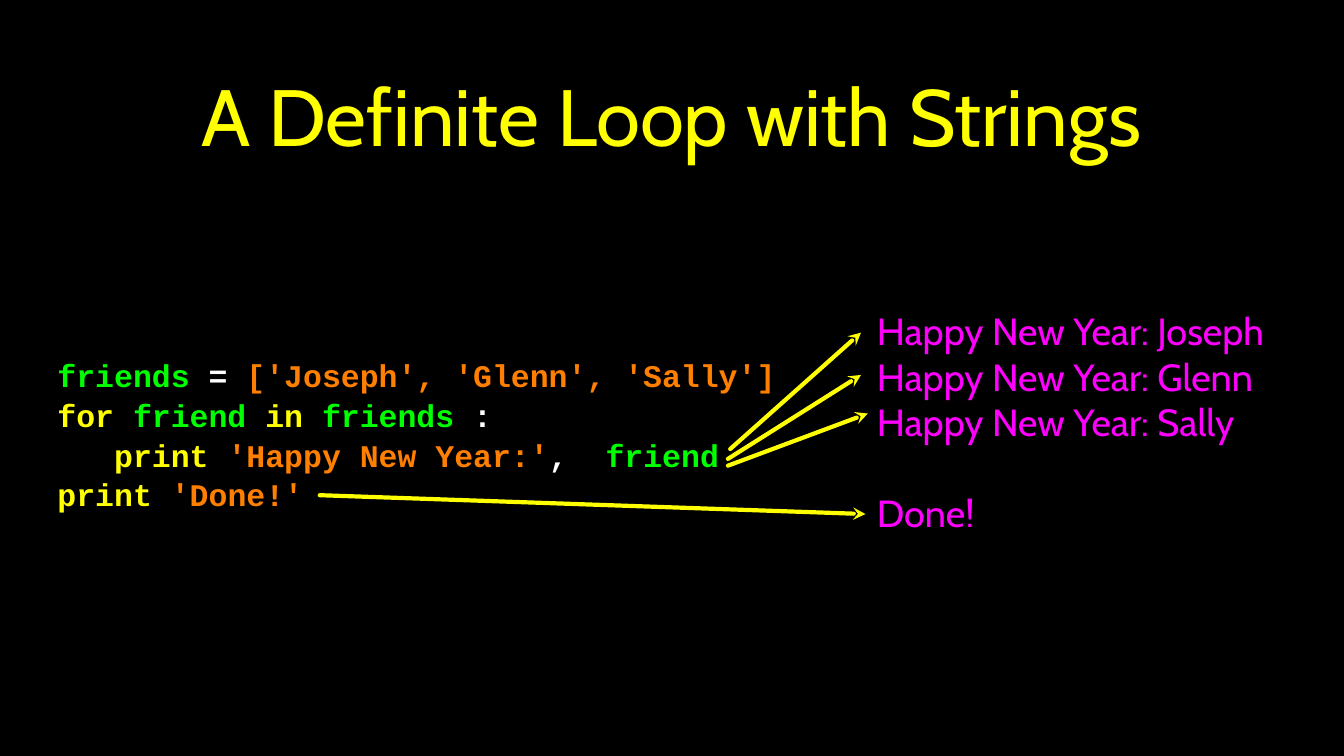
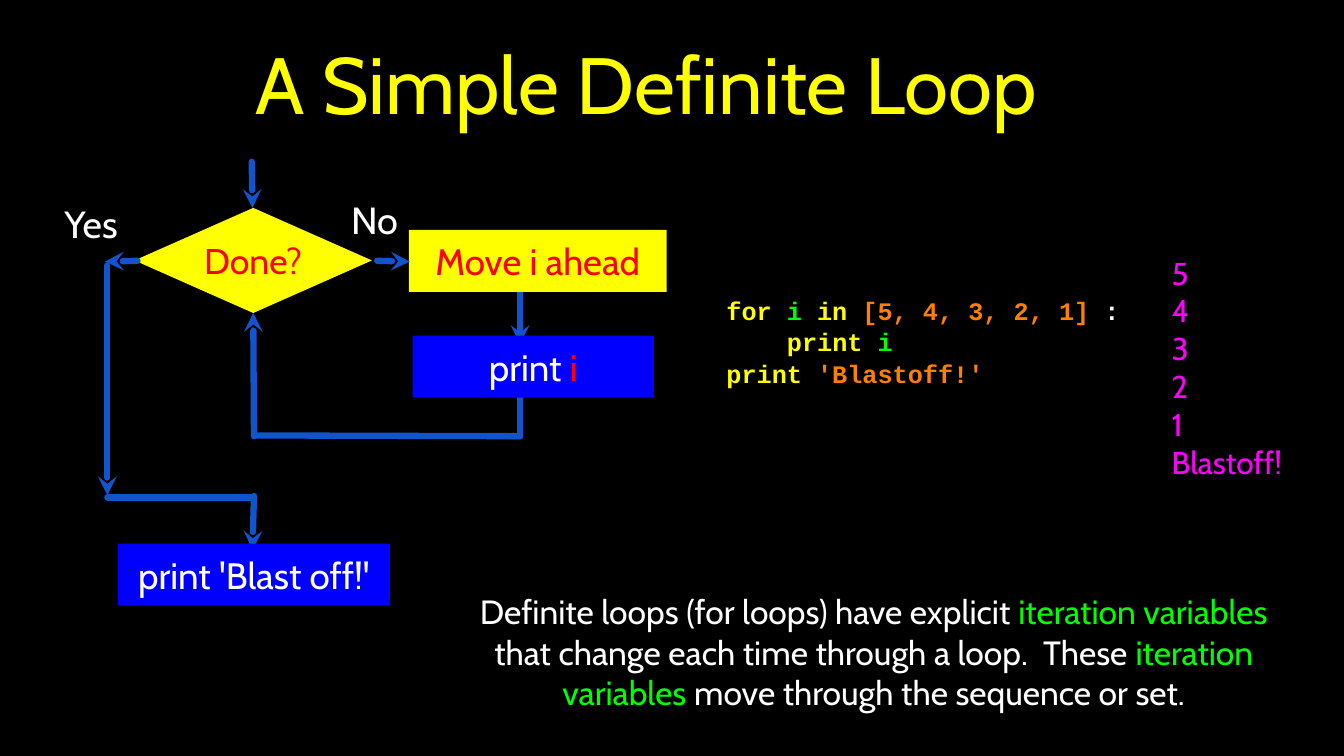
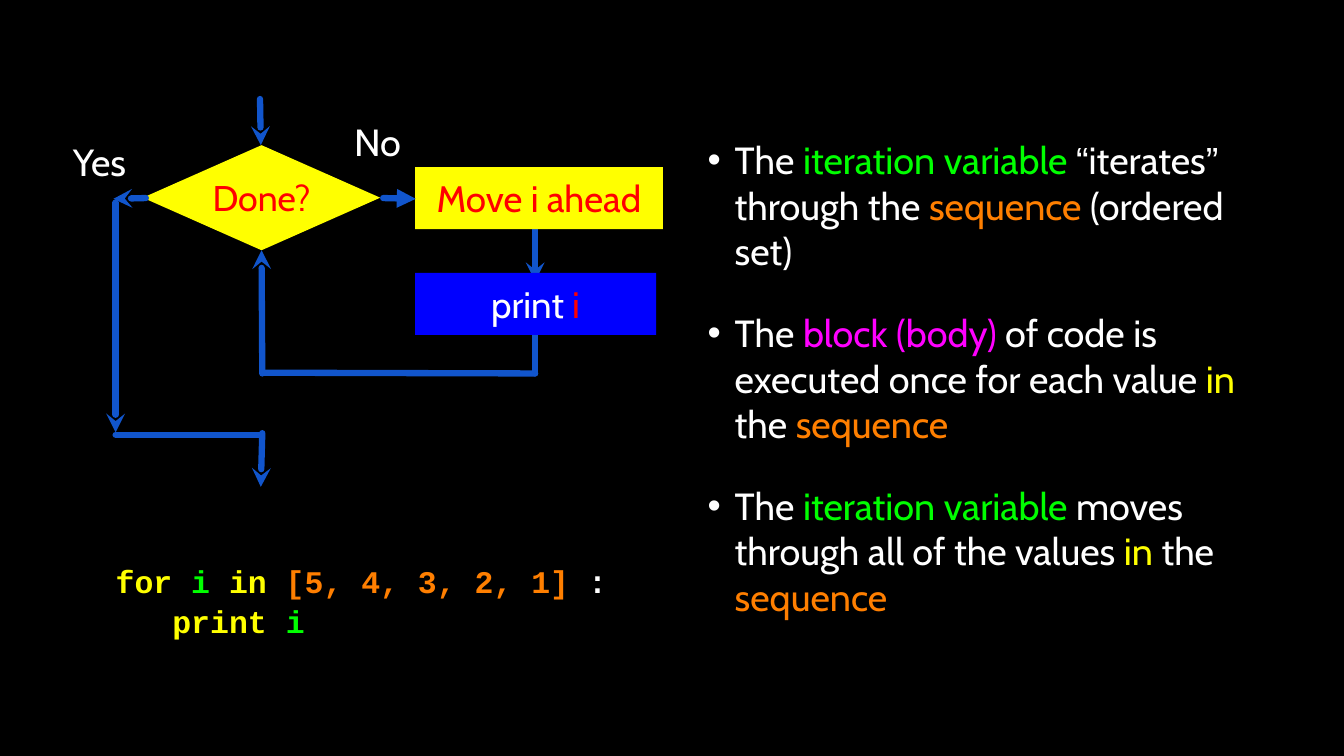
from lxml.etree import SubElement
from pptx import Presentation
from pptx.dml.color import RGBColor
from pptx.enum.shapes import MSO_CONNECTOR, MSO_SHAPE
from pptx.enum.text import MSO_ANCHOR, PP_ALIGN
from pptx.oxml.ns import qn
from pptx.util import Inches, Pt

BLACK = RGBColor(0x00, 0x00, 0x00)
WHITE = RGBColor(0xFF, 0xFF, 0xFF)
YELLOW = RGBColor(0xFF, 0xFF, 0x00)
GREEN = RGBColor(0x00, 0xFF, 0x00)
ORANGE = RGBColor(0xFF, 0x7F, 0x00)
MAGENTA = RGBColor(0xFF, 0x00, 0xFF)
RED = RGBColor(0xFF, 0x00, 0x00)
BLUE = RGBColor(0x00, 0x00, 0xFF)
FLOW_BLUE = RGBColor(0x11, 0x55, 0xCC)

BODY_FONT = "Cabin"
CODE_FONT = "Courier New"
QUOTE_FONT = "Arial"

COUNTDOWN = [("for ", YELLOW), ("i ", GREEN), ("in ", YELLOW),
             ("[5, 4, 3, 2, 1] ", ORANGE), (":", WHITE)]
PRINT_I = [("print ", YELLOW), ("i", GREEN)]


def write(shape, lines, size, font=BODY_FONT, align=PP_ALIGN.CENTER, inset=0):
    frame = shape.text_frame
    frame.word_wrap = True
    frame.vertical_anchor = MSO_ANCHOR.MIDDLE
    frame.margin_left = frame.margin_right = Inches(inset)
    frame.margin_top = frame.margin_bottom = Inches(inset)
    for index, line in enumerate(lines):
        paragraph = frame.add_paragraph() if index else frame.paragraphs[0]
        paragraph.alignment = align
        for text, colour, *special_font in line:
            run = paragraph.add_run()
            run.text = text
            run.font.size = Pt(size)
            run.font.name = special_font[0] if special_font else font
            run.font.bold = font == CODE_FONT
            run.font.color.rgb = colour
    return frame.paragraphs


def add_text(slide, box, lines, size, **style):
    shape = slide.shapes.add_textbox(*map(Inches, box))
    return write(shape, lines, size, **style)


def add_title(slide, box, text):
    add_text(slide, box, [[(text, YELLOW)]], 76, inset=0.04)


def add_code(slide, box, lines, size, indented_line, indent):
    paragraphs = add_text(slide, box, lines, size, font=CODE_FONT, align=PP_ALIGN.LEFT)
    for paragraph in paragraphs:
        paragraph.line_spacing = 1.05
    properties = paragraphs[indented_line]._p.get_or_add_pPr()
    properties.set("marL", str(Inches(indent)))


def add_bullets(slide, box, lines):
    paragraphs = add_text(slide, box, lines, 36, align=PP_ALIGN.LEFT, inset=0.04)
    for index, paragraph in enumerate(paragraphs):
        if index:
            paragraph.space_before = Pt(35)
        properties = paragraph._p.get_or_add_pPr()
        properties.set("marL", str(Inches(0.54)))
        properties.set("indent", str(Inches(-0.36)))
        colour = SubElement(properties, qn("a:buClr"))
        SubElement(colour, qn("a:srgbClr"), val=str(WHITE))
        SubElement(properties, qn("a:buFont"), typeface="Arial")
        SubElement(properties, qn("a:buChar"), char="•")


def add_block(slide, kind, box, fill, runs, size=35):
    shape = slide.shapes.add_shape(kind, *map(Inches, box))
    shape.shadow.inherit = False
    shape.fill.solid()
    shape.fill.fore_color.rgb = fill
    shape.line.fill.background()
    write(shape, [runs], size)


def add_line(slide, start, end, colour, width, arrow=None):
    connector = slide.shapes.add_connector(
        MSO_CONNECTOR.STRAIGHT, *map(Inches, (*start, *end)))
    connector.line.color.rgb = colour
    connector.line.width = Pt(width)
    line = connector.line._get_or_add_ln()
    line.set("cap", "rnd")
    if arrow:
        SubElement(line, qn("a:tailEnd"), type=arrow)
    SubElement(connector._element.spPr, qn("a:effectLst"))


def add_flowchart(slide, left, top, move_left, move_width, print_left, body_x,
                  no_label, no_arrow="stealth"):
    def at(x, y):
        return left + x, top + y

    def flow(start, end, arrow=None):
        add_line(slide, at(*start), at(*end), FLOW_BLUE, 6, arrow)

    flow((1.55, -0.61), (1.56, 0), "stealth")
    add_block(slide, MSO_SHAPE.DIAMOND, (left, top, 3.14, 1.39), YELLOW,
              [("Done?", RED)], 34)
    flow((1.58, 3.02), (1.57, 1.39), "stealth")
    flow((body_x, 1.07), (body_x, 1.8), "stealth")
    flow((body_x, 1.58), (body_x, 3.02))
    flow((1.58, 3.01), (body_x, 3.02))
    flow((0.04, 0.7), (-0.39, 0.71), "stealth")
    flow((1.58, 3.81), (1.56, 4.52), "stealth")
    flow((-0.36, 0.76), (-0.36, 3.8), "stealth")
    flow((-0.36, 3.83), (1.56, 3.83))
    for text, offset in (("Yes", (-0.97, -0.13)), ("No", no_label)):
        add_text(slide, (*at(*offset), 0.79, 0.68), [[(text, WHITE)]], 36)
    add_block(slide, MSO_SHAPE.RECTANGLE, (*at(print_left, 1.69), 3.19, 0.82), BLUE,
              [("print ", WHITE), ("i", RED)])
    add_block(slide, MSO_SHAPE.RECTANGLE, (*at(move_left, 0.29), move_width, 0.82),
              YELLOW, [("Move i ahead", RED)])
    flow((move_left - 0.42, 0.7), (move_left + 0.01, 0.71), no_arrow)


def build_strings_slide(slide):
    add_title(slide, (1.26, 0.26, 15.24, 2.51), "A Definite Loop with Strings")
    add_code(slide, (0.76, 4.53, 10.08, 2.42), [
        [("friends", GREEN), (" = ", WHITE), ("['Joseph', 'Glenn', 'Sally']", ORANGE)],
        [("for ", YELLOW), ("friend ", GREEN), ("in ", YELLOW), ("friends ", GREEN),
         (":", WHITE)],
        [("print ", YELLOW), ("'Happy New Year:'", ORANGE), (",  ", WHITE),
         ("friend", GREEN)],
        [("print ", YELLOW), ("'Done!'", ORANGE)],
    ], 30, indented_line=2, indent=0.75)
    greetings = [f"Happy New Year: {name}" for name in ("Joseph", "Glenn", "Sally")]
    output = add_text(slide, (11.6, 3.88, 5.96, 3.39),
                      [[(text, MAGENTA)] for text in (*greetings, "Done!")], 36,
                      align=PP_ALIGN.LEFT)
    output[-1].space_before = Pt(43)
    for start, end in (((9.63, 6.07), (11.39, 4.96)), ((4.23, 6.55), (11.45, 6.8)),
                       ((9.66, 5.94), (11.39, 4.4)), ((9.63, 6.16), (11.48, 5.47))):
        add_line(slide, start, end, YELLOW, 4, "stealth")


def build_simple_loop_slide(slide):
    add_title(slide, (3.31, 0, 10.47, 2.19), "A Simple Definite Loop")
    add_code(slide, (9.61, 3.6, 5.58, 1.82), [
        COUNTDOWN, PRINT_I, [("print ", YELLOW), ("'Blastoff!'", ORANGE)],
    ], 24, indented_line=1, indent=0.8)
    add_text(slide, (15.5, 3.09, 1.82, 3.53),
             [[(text, MAGENTA)] for text in (*"54321", "Blastoff!")], 30,
             align=PP_ALIGN.LEFT)
    add_flowchart(slide, 1.78, 2.75, move_left=3.63, move_width=3.41,
                  print_left=3.68, body_x=5.1, no_label=(2.78, -0.19))
    add_block(slide, MSO_SHAPE.RECTANGLE, (1.56, 7.19, 3.6, 0.82), BLUE,
              [("print 'Blast off!'", WHITE)])
    add_text(slide, (6.02, 7.71, 11.08, 1.82), [[
        ("Definite loops (for loops) have explicit ", WHITE),
        ("iteration variables ", GREEN),
        ("that change each time through a loop.  These ", WHITE),
        ("iteration variables", GREEN),
        (" move through the sequence or set.", WHITE),
    ]], 32)


def build_iteration_slide(slide):
    add_flowchart(slide, 1.89, 1.92, move_left=3.6, move_width=3.28,
                  print_left=3.6, body_x=5.19, no_label=(2.71, -0.39),
                  no_arrow="triangle")
    add_bullets(slide, (9.14, 1.88, 7.83, 6.24), [
        [("The ", WHITE), ("iteration variable ", GREEN), ("“", WHITE, QUOTE_FONT),
         ("iterates", WHITE), ("”", WHITE, QUOTE_FONT), (" through the ", WHITE),
         ("sequence ", ORANGE), ("(ordered set)", WHITE)],
        [("The ", WHITE), ("block (body)", MAGENTA),
         (" of code is executed once for each value ", WHITE), ("in", YELLOW),
         (" the ", WHITE), ("sequence", ORANGE)],
        [("The ", WHITE), ("iteration variable ", GREEN),
         ("moves through all of the values ", WHITE), ("in", YELLOW),
         (" the ", WHITE), ("sequence", ORANGE)],
    ])
    add_code(slide, (1.53, 7.33, 7.15, 1.21), [COUNTDOWN, PRINT_I], 30,
             indented_line=1, indent=0.75)


def main():
    presentation = Presentation()
    presentation.slide_width = Inches(17.78)
    presentation.slide_height = Inches(10)
    background = presentation.slide_master.background.fill
    background.solid()
    background.fore_color.rgb = BLACK
    blank = presentation.slide_layouts[6]
    for build in (build_strings_slide, build_simple_loop_slide, build_iteration_slide):
        build(presentation.slides.add_slide(blank))
    presentation.save("out.pptx")


main()
